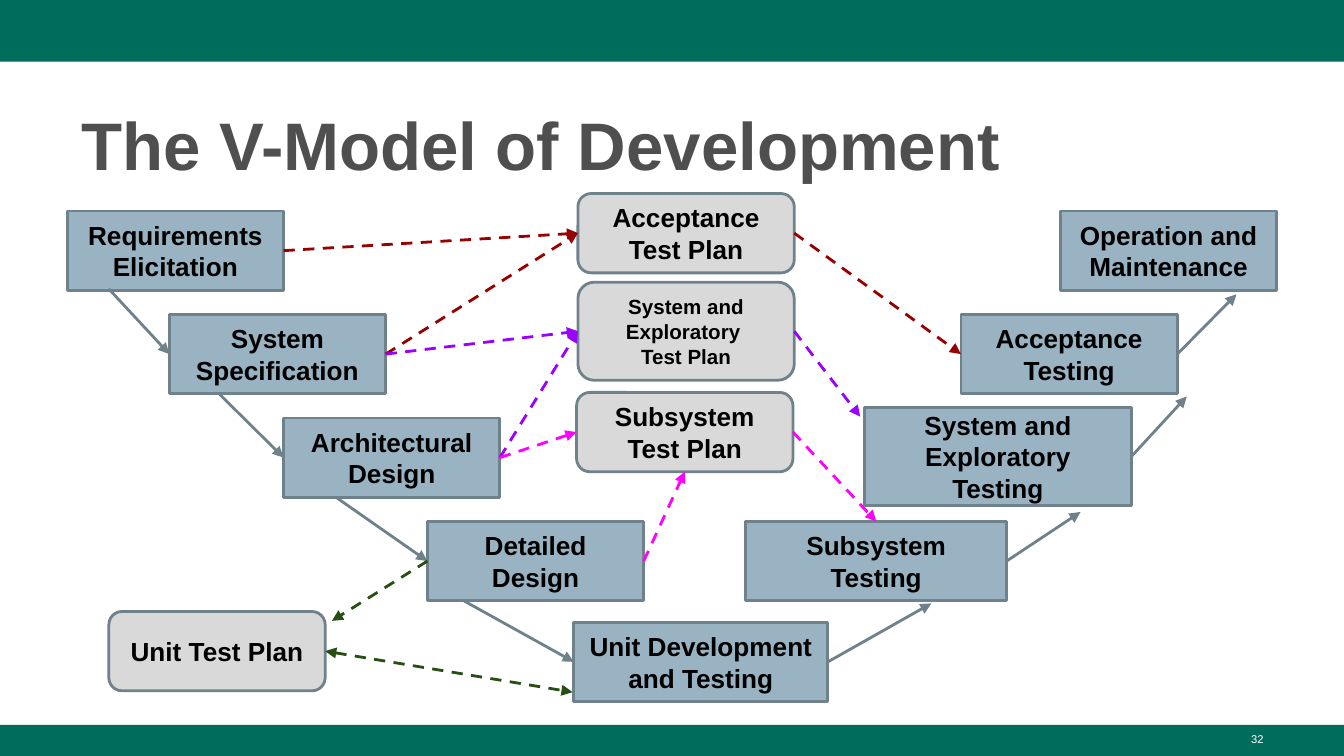
from lxml import etree
from pptx import Presentation
from pptx.dml.color import RGBColor
from pptx.enum.dml import MSO_LINE
from pptx.enum.shapes import MSO_CONNECTOR, MSO_SHAPE
from pptx.enum.text import MSO_ANCHOR, PP_ALIGN
from pptx.oxml.ns import qn
from pptx.util import Inches, Pt

RECT, ROUNDED = MSO_SHAPE.RECTANGLE, MSO_SHAPE.ROUNDED_RECTANGLE
STRAIGHT, DASH = MSO_CONNECTOR.STRAIGHT, MSO_LINE.DASH
MIDDLE, BOTTOM_ANCHOR = MSO_ANCHOR.MIDDLE, MSO_ANCHOR.BOTTOM
LEFT_ALIGN, CENTER, RIGHT_ALIGN = PP_ALIGN.LEFT, PP_ALIGN.CENTER, PP_ALIGN.RIGHT
TOP, LEFT, BOTTOM, RIGHT = range(4)

GREEN = RGBColor(0x00, 0x6C, 0x5C)
TITLE_GRAY = RGBColor(0x4F, 0x4F, 0x4F)
BLUE = RGBColor(0x99, 0xB3, 0xC2)
SLATE = RGBColor(0x6F, 0x82, 0x8C)
LIGHT_GRAY = RGBColor(0xD9, 0xD9, 0xD9)
BLACK = RGBColor(0x00, 0x00, 0x00)
WHITE = RGBColor(0xFF, 0xFF, 0xFF)
RED = RGBColor(0x98, 0x00, 0x00)
PURPLE = RGBColor(0x99, 0x00, 0xFF)
MAGENTA = RGBColor(0xFF, 0x00, 0xFF)
DARK_GREEN = RGBColor(0x27, 0x4E, 0x13)

WIDTH = 10
HEIGHT = WIDTH * 9 / 16
BOX_W, BOX_H, TALL_H = 1.61, 0.59, 0.73
ROWS = [1.57 + 0.77 * row for row in range(4)]

PHASES = {
    "requirements": ("Requirements Elicitation", 0.5, ROWS[0], BOX_W, BOX_H),
    "specification": ("System Specification", 1.26, ROWS[1], BOX_W, BOX_H),
    "architecture": ("Architectural Design", 2.11, ROWS[2], BOX_W, BOX_H),
    "design": ("Detailed Design", 3.18, ROWS[3], BOX_W, BOX_H),
    "unit": ("Unit Development and Testing", 4.27, 4.63, 1.89, BOX_H),
    "subsystem": ("Subsystem Testing", 5.55, ROWS[3], 1.94, BOX_H),
    "system": ("System and Exploratory Testing", 6.43, 3.03, 1.99, TALL_H),
    "acceptance": ("Acceptance Testing", 7.15, ROWS[1], BOX_W, BOX_H),
    "operation": ("Operation and Maintenance", 7.89, ROWS[0], BOX_W, BOX_H),
}
PLANS = {
    "acceptance plan": ("Acceptance Test Plan", 4.3, 1.44, BOX_W, BOX_H),
    "system plan": ("System and Exploratory \vTest Plan", 4.3, 2.1, BOX_W, TALL_H, 11),
    "subsystem plan": ("Subsystem Test Plan", 4.29, 2.92, BOX_W, BOX_H),
    "unit plan": ("Unit Test Plan", 0.81, 4.55, BOX_W, BOX_H),
}
STEPS = [
    ((0.81, 2.15), ("specification", LEFT)),
    ((1.63, 2.93), ("architecture", LEFT)),
    ((2.5, 3.7), ("design", LEFT)),
    ((3.45, 4.47), ("unit", LEFT)),
    (("unit", RIGHT), (6.93, 4.49)),
    (("subsystem", RIGHT), (8.04, 3.81)),
    (("system", RIGHT), (8.83, 2.95)),
    (("acceptance", RIGHT), (9.2, 2.19)),
]
PLAN_FLOWS = [
    (("requirements", RIGHT), ("acceptance plan", LEFT), RED),
    (("specification", RIGHT), ("acceptance plan", LEFT), RED),
    (("specification", RIGHT), ("system plan", LEFT), PURPLE),
    (("architecture", RIGHT), ("system plan", LEFT), PURPLE),
    (("architecture", RIGHT), ("subsystem plan", LEFT), MAGENTA),
    (("design", RIGHT), ("subsystem plan", BOTTOM), MAGENTA),
    (("acceptance plan", RIGHT), ("acceptance", LEFT), RED),
    (("system plan", RIGHT), (6.4, 3.1), PURPLE),
    (("subsystem plan", RIGHT), ("subsystem", TOP), MAGENTA),
    (("design", LEFT), (2.47, 4.62), DARK_GREEN),
]


def write(frame, text, size, color, align, bold=True):
    """Fill a text frame with one formatted paragraph."""
    frame.word_wrap = True
    frame.text = text
    paragraph = frame.paragraphs[0]
    paragraph.alignment = align
    for run in paragraph.runs:
        run.font.name = "Arial"
        run.font.size = Pt(size)
        run.font.bold = bold
        run.font.color.rgb = color


def add_panel(slide, kind, left, top, width, height, fill):
    """Add a filled shape without shadow or outline."""
    panel = slide.shapes.add_shape(
        kind, Inches(left), Inches(top), Inches(width), Inches(height))
    panel.shadow.inherit = False
    panel.fill.solid()
    panel.fill.fore_color.rgb = fill
    panel.line.fill.background()
    return panel


def add_node(slide, kind, fill, text, left, top, width, height, size=14):
    """Add an outlined, labelled box of the V-model."""
    node = add_panel(slide, kind, left, top, width, height, fill)
    node.line.color.rgb = SLATE
    node.line.width = Pt(1.5)
    frame = node.text_frame
    frame.vertical_anchor = MIDDLE
    frame.margin_left = frame.margin_right = Inches(0.1)
    frame.margin_top = frame.margin_bottom = Inches(0.1)
    write(frame, text, size, BLACK, CENTER)
    return node


def add_arrow(slide, nodes, start, end, color, dash=None, ends=("tailEnd",)):
    """Add an arrow whose ends are points or (node, side) pairs."""
    arrow = slide.shapes.add_connector(STRAIGHT, 0, 0, 0, 0)
    if start[0] in nodes:
        arrow.begin_connect(nodes[start[0]], start[1])
    else:
        arrow.begin_x, arrow.begin_y = map(Inches, start)
    if end[0] in nodes:
        arrow.end_connect(nodes[end[0]], end[1])
    else:
        arrow.end_x, arrow.end_y = map(Inches, end)
    arrow.line.color.rgb = color
    arrow.line.width = Pt(1.5)
    if dash:
        arrow.line.dash_style = dash
    properties = arrow._element.spPr
    outline = properties.find(qn("a:ln"))
    for tip in ends:
        etree.SubElement(outline, qn("a:" + tip), type="triangle")
    etree.SubElement(properties, qn("a:effectLst"))


def add_title(slide, text):
    """Place and format the slide title."""
    title = slide.shapes.title
    title.left, title.top = Inches(0.51), Inches(0.67)
    title.width, title.height = Inches(8.99), Inches(0.73)
    title.text_frame.vertical_anchor = BOTTOM_ANCHOR
    title.text_frame.margin_bottom = Inches(0.03)
    write(title.text_frame, text, 36, TITLE_GRAY, LEFT_ALIGN)
    title.text_frame.paragraphs[0].line_spacing = 1.08


def add_page_number(slide, number):
    """Write the page number on the bottom band."""
    box = slide.shapes.add_textbox(
        Inches(7.17), Inches(5.4), Inches(2.33), Inches(0.23))
    write(box.text_frame, number, 6, WHITE, RIGHT_ALIGN, bold=False)


def main():
    """Build the V-model slide."""
    deck = Presentation()
    deck.slide_width, deck.slide_height = Inches(WIDTH), Inches(HEIGHT)
    slide = deck.slides.add_slide(deck.slide_layouts[5])
    for top, height in ((0, 0.46), (HEIGHT - 0.23, 0.23)):
        add_panel(slide, RECT, 0, top, WIDTH, height, GREEN)
    add_title(slide, "The V-Model of Development")
    nodes = {key: add_node(slide, RECT, BLUE, *phase) for key, phase in PHASES.items()}
    for key, plan in PLANS.items():
        nodes[key] = add_node(slide, ROUNDED, LIGHT_GRAY, *plan)
    for start, end in STEPS:
        add_arrow(slide, nodes, start, end, SLATE)
    for start, end, color in PLAN_FLOWS:
        add_arrow(slide, nodes, start, end, color, DASH)
    add_arrow(slide, nodes, ("unit plan", RIGHT), (4.26, 5.15), DARK_GREEN, DASH,
              ("headEnd", "tailEnd"))
    add_page_number(slide, "32")
    deck.save("out.pptx")


if __name__ == "__main__":
    main()
